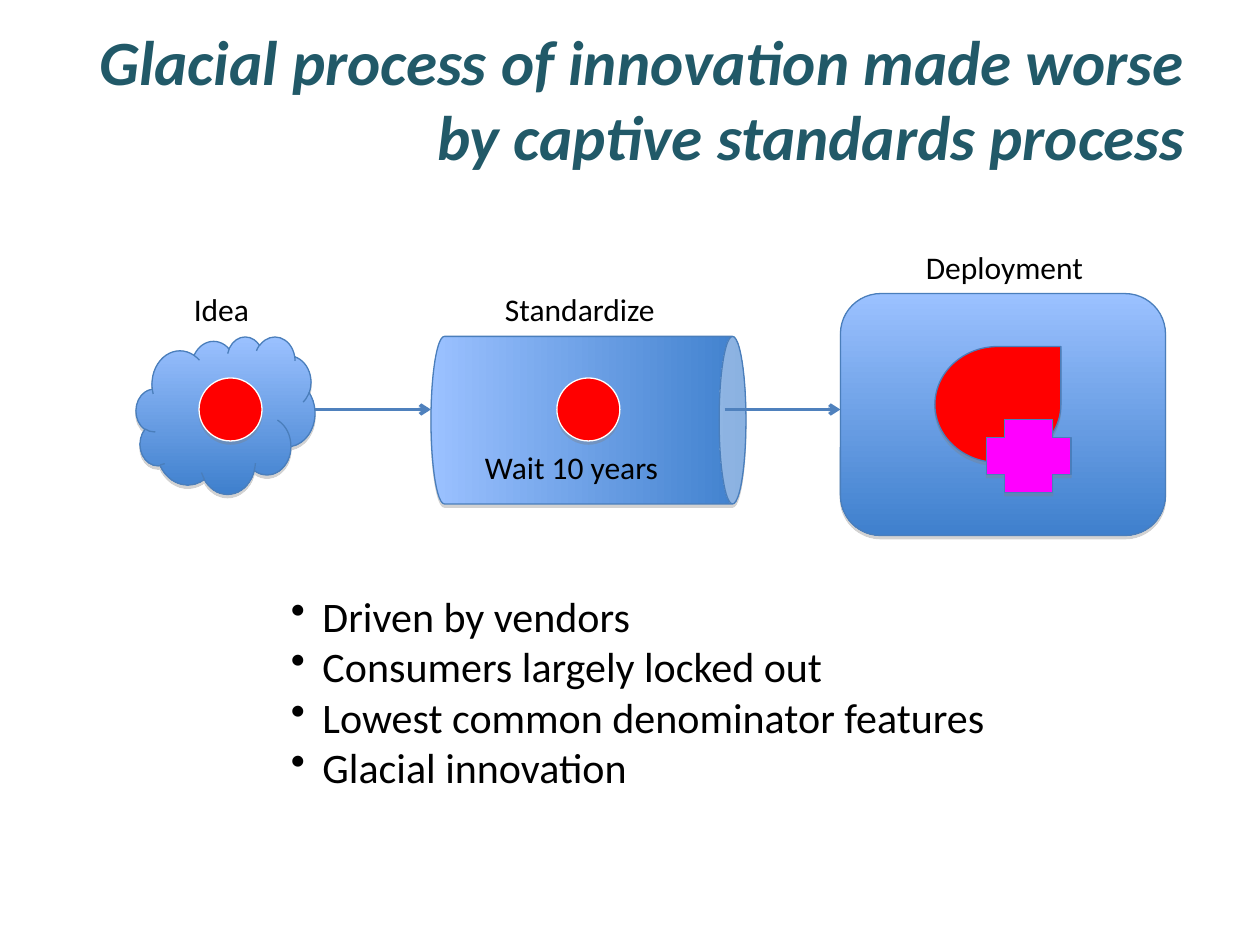
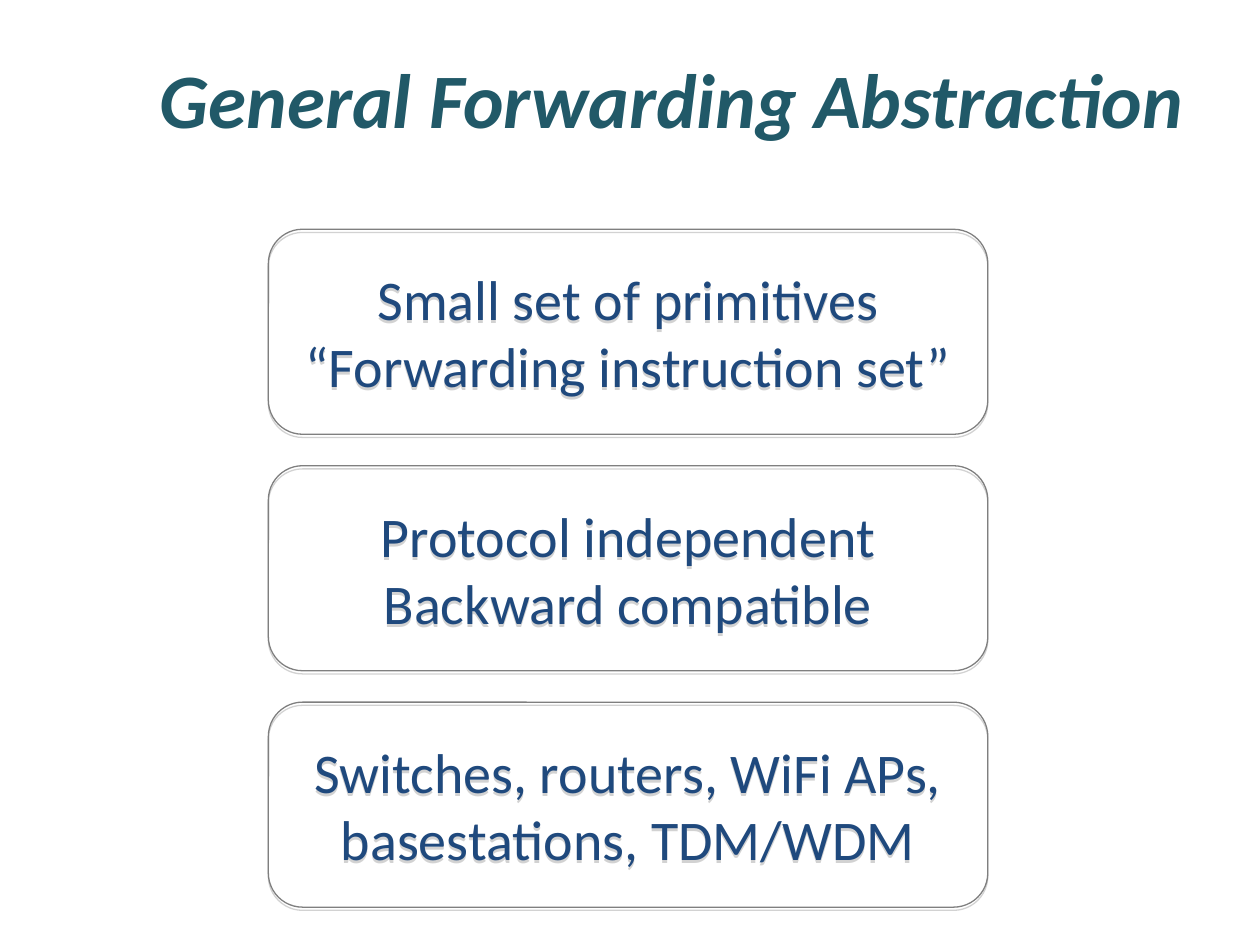
from pptx import Presentation
from pptx.dml.color import RGBColor
from pptx.enum.shapes import MSO_CONNECTOR, MSO_SHAPE
from pptx.enum.text import MSO_ANCHOR, MSO_AUTO_SIZE, PP_ALIGN
from pptx.oxml import parse_xml
from pptx.oxml.ns import nsdecls, qn
from pptx.oxml.xmlchemy import OxmlElement
from pptx.util import Inches, Pt

STRAIGHT = MSO_CONNECTOR.STRAIGHT
CLOUD, CAN, OVAL = MSO_SHAPE.CLOUD, MSO_SHAPE.CAN, MSO_SHAPE.OVAL
ROUNDED, TEAR, CROSS = MSO_SHAPE.ROUNDED_RECTANGLE, MSO_SHAPE.TEAR, MSO_SHAPE.CROSS
TOP, MIDDLE = MSO_ANCHOR.TOP, MSO_ANCHOR.MIDDLE
LEFT, CENTER, RIGHT = PP_ALIGN.LEFT, PP_ALIGN.CENTER, PP_ALIGN.RIGHT
FIT_SHAPE, NO_FIT = MSO_AUTO_SIZE.SHAPE_TO_FIT_TEXT, MSO_AUTO_SIZE.NONE

FONT = "Calibri"
TEAL, NAVY, BLACK, WHITE = "215968", "1F497D", "000000", "FFFFFF"
RED, MAGENTA, GRAY = "FF0000", "FF00FF", "7F7F7F"
OUTLINE, ARROW_BLUE = "4A7EBB", "4F81BD"
LIGHT_BLUE, DEEP_BLUE = "9BC1FF", "3F80CD"
BLUES = (LIGHT_BLUE, DEEP_BLUE)
TITLE_BOX = (0.5, 0.3, 9, 0.95)


def rgb(color):
    return RGBColor.from_string(color)


def inches(*lengths):
    return [Inches(length) for length in lengths]


def add_bullet(paragraph):
    props = paragraph._p.get_or_add_pPr()
    props.set("marL", str(Inches(0.25)))
    props.set("indent", str(-Inches(0.25)))
    bullet = OxmlElement("a:buChar")
    bullet.set("char", "•")
    props.append(bullet)


def write(shape, lines, size=18, color=BLACK, bold=False, italic=False,
          align=LEFT, anchor=TOP, wrap=True, fit=NO_FIT, bullets=False, inset=0.1):
    frame = shape.text_frame
    frame.word_wrap = wrap
    frame.auto_size = fit
    frame.vertical_anchor = anchor
    frame.margin_left = Inches(inset)
    for index, line in enumerate(lines):
        paragraph = frame.add_paragraph() if index else frame.paragraphs[0]
        paragraph.alignment = align
        if bullets:
            add_bullet(paragraph)
        run = paragraph.add_run()
        run.text = line
        font = run.font
        font.name, font.size = FONT, Pt(size)
        font.bold, font.italic = bold, italic
        font.color.rgb = rgb(color)


def add_text(slide, box, lines, **style):
    write(slide.shapes.add_textbox(*inches(*box)), lines, **style)


def add_title(slide, title, size):
    add_text(slide, TITLE_BOX, [title], size=size, color=TEAL, bold=True, italic=True,
             align=RIGHT, anchor=MIDDLE)


def add_label(slide, box, label):
    add_text(slide, box, [label], wrap=False, fit=FIT_SHAPE)


def add_shadow(shape):
    shape.shadow.inherit = False
    effects = shape._element.spPr.find(qn("a:effectLst"))
    effects.append(parse_xml(
        f'<a:outerShdw {nsdecls("a")} blurRad="0" dist="{Pt(1.8)}" dir="5400000" rotWithShape="0">'
        '<a:srgbClr val="808080"><a:alpha val="35000"/></a:srgbClr></a:outerShdw>'))


def add_figure(slide, kind, box, fill=None, line=OUTLINE, angle=270):
    figure = slide.shapes.add_shape(kind, *inches(*box))
    if fill is None:
        figure.fill.background()
    elif fill == BLUES:
        figure.fill.gradient()
        figure.fill.gradient_angle = angle
        for stop, color, position in zip(figure.fill.gradient_stops, fill, (0, 1)):
            stop.color.rgb = rgb(color)
            stop.position = position
        figure._element.spPr.find(qn("a:gradFill")).set("rotWithShape", "0")
    else:
        figure.fill.solid()
        figure.fill.fore_color.rgb = rgb(fill)
    figure.line.color.rgb = rgb(line)
    figure.line.width = Pt(0.75)
    add_shadow(figure)
    return figure


def add_arrow(slide, left, right, y):
    arrow = slide.shapes.add_connector(STRAIGHT, *inches(left, y, right, y))
    arrow.line.color.rgb = rgb(ARROW_BLUE)
    arrow.line.width = Pt(2)
    head = OxmlElement("a:tailEnd")
    head.set("type", "arrow")
    arrow.line._get_or_add_ln().append(head)
    arrow._element.spPr.append(OxmlElement("a:effectLst"))


def add_idea_dot(slide, left, top):
    add_figure(slide, OVAL, (left, top, 0.5, 0.5), RED, WHITE)


def draw_idea(slide, left, top, width, height):
    add_label(slide, (left + 0.36, top - 0.42, 0.64, 0.4), "Idea")
    add_figure(slide, CLOUD, (left, top, width, height), BLUES)
    add_idea_dot(slide, left + 0.5, top + 0.33)


def draw_standardize(slide, left, top, width, height):
    add_label(slide, (left + 0.49, top - 0.42, 1.4, 0.4), "Standardize")
    shift = (width - height) / 2
    pipe = add_figure(slide, CAN, (left + shift, top - shift, height, width), BLUES, angle=0)
    pipe.rotation = 90
    pipe.adjustments[0] = 0.16
    add_text(slide, (left + 0.33, top + 0.84, 2.25, 0.4), ["Wait 10 years"], fit=FIT_SHAPE)
    add_idea_dot(slide, left + 1, top + 0.33)


def draw_deployment(slide, left, top, width, height):
    add_label(slide, (left + 0.58, top - 0.41, 1.45, 0.4), "Deployment")
    add_figure(slide, ROUNDED, (left, top, width, height), BLUES)
    add_figure(slide, TEAR, (left + 0.75, top + 0.42, 1, 0.92), RED)
    add_figure(slide, CROSS, (left + 1.16, top + 1, 0.67, 0.58), MAGENTA)


def build_innovation_slide(slide):
    add_title(slide, "Glacial process of innovation made worse by captive standards process", 36)
    draw_idea(slide, 1.08, 2.67, 1.42, 1.25)
    add_arrow(slide, 2.5, 3.42, 3.25)
    draw_standardize(slide, 3.42, 2.67, 2.5, 1.33)
    add_arrow(slide, 5.75, 6.67, 3.25)
    draw_deployment(slide, 6.67, 2.33, 2.58, 1.92)
    consequences = ["Driven by vendors", "Consumers largely locked out",
                    "Lowest common denominator features", "Glacial innovation"]
    add_text(slide, (1.91, 4.64, 7.34, 1.69), consequences, size=24, anchor=MIDDLE,
             bullets=True, inset=0.4)


def draw_properties(slide, left, top, width, height, properties, gap=0.25):
    card_height = (height - gap * (len(properties) - 1)) / len(properties)
    for index, lines in enumerate(properties):
        card_top = top + index * (card_height + gap)
        card = add_figure(slide, ROUNDED, (left, card_top, width, card_height), line=GRAY)
        write(card, lines, size=32, color=NAVY, align=CENTER, anchor=MIDDLE)


def build_forwarding_slide(slide):
    add_title(slide, "General Forwarding Abstraction", 44)
    draw_properties(slide, 2.13, 1.82, 5.71, 5.38, [
        ["Small set of primitives", "“Forwarding instruction set”"],
        ["Protocol independent", "Backward compatible"],
        ["Switches, routers, WiFi APs, basestations, TDM/WDM"],
    ])


def main():
    deck = Presentation()
    deck.slide_width, deck.slide_height = inches(10, 7.5)
    blank = deck.slide_layouts[6]
    for build in (build_innovation_slide, build_forwarding_slide):
        build(deck.slides.add_slide(blank))
    deck.save("out.pptx")


if __name__ == "__main__":
    main()
